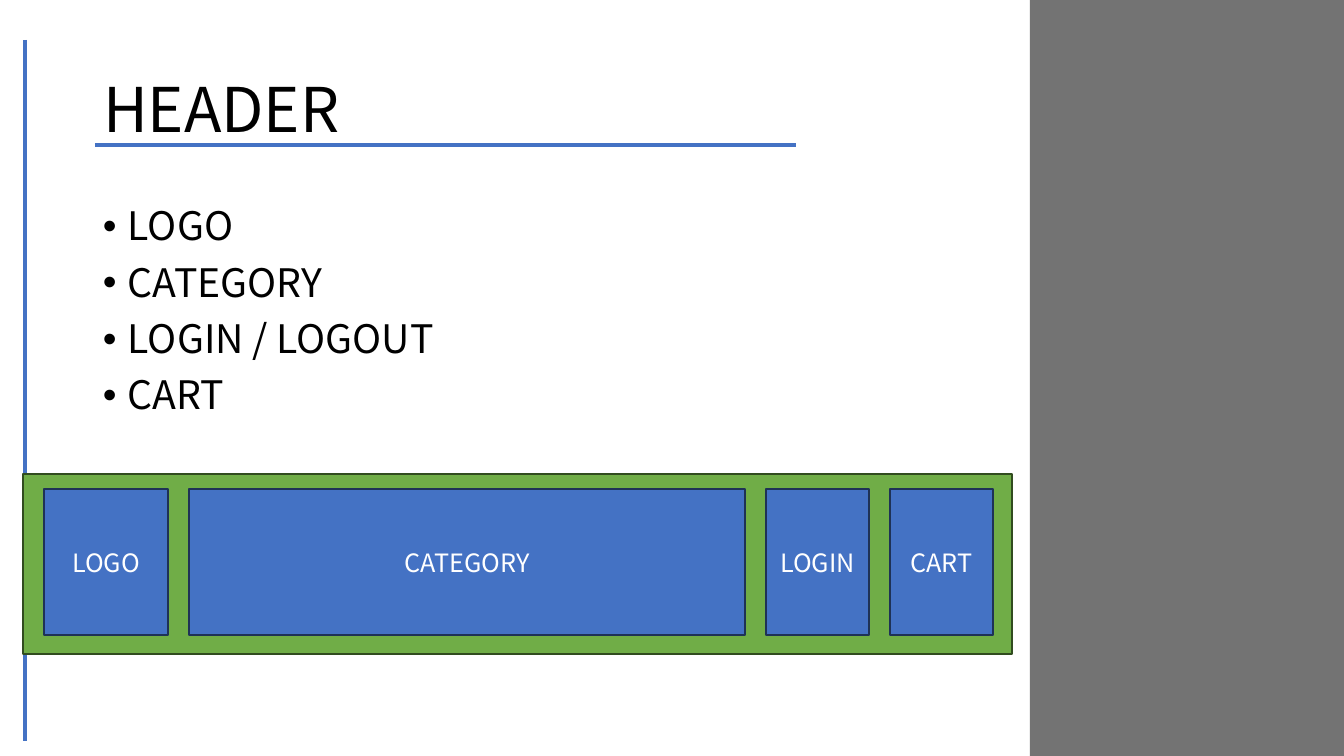
from pptx import Presentation
from pptx.dml.color import RGBColor
from pptx.enum.shapes import MSO_CONNECTOR as Connector, MSO_SHAPE as Shape
from pptx.enum.text import MSO_ANCHOR as Anchor, MSO_AUTO_SIZE as AutoSize, PP_ALIGN as Align
from pptx.oxml.ns import qn
from pptx.util import Pt
from lxml.etree import SubElement

BLUE = "4472C4"
BLUE_EDGE = "1E3256"
GREEN = "70AD47"
GREEN_EDGE = "314C1F"
GREY = "737373"
BLACK = "000000"
WHITE = "FFFFFF"


def px(count):
    return round(count * 914400 / 100.8)


def colour(code):
    return RGBColor.from_string(code)


class SlideBuilder:
    font_name = "Noto Sans CJK KR"

    def __init__(self, slide):
        self.slide = slide

    def add_span(self, para, text, size, code):
        span = para.add_run()
        span.text = text
        span.font.name = self.font_name
        span.font.size = Pt(size)
        span.font.color.rgb = colour(code)

    def title(self, text, left, top, width, height):
        box = self.slide.shapes.title
        box.left, box.top, box.width, box.height = map(px, (left, top, width, height))
        frame = box.text_frame
        frame.auto_size = AutoSize.NONE
        frame.vertical_anchor = Anchor.MIDDLE
        para = frame.paragraphs[0]
        para.alignment = Align.LEFT
        para.line_spacing = 0.9
        self.add_span(para, text, 44, BLACK)

    def bullets(self, items, left, top, width, height):
        box = self.slide.shapes.add_textbox(*map(px, (left, top, width, height)))
        frame = box.text_frame
        frame.word_wrap = True
        for index, item in enumerate(items):
            para = frame.add_paragraph() if index else frame.paragraphs[0]
            properties = para._p.get_or_add_pPr()
            properties.set("marL", str(px(25)))
            properties.set("indent", str(-px(25)))
            SubElement(properties, qn("a:buFont"), typeface="Arial")
            SubElement(properties, qn("a:buChar"), char="•")
            para.line_spacing = 0.9
            if index:
                para.space_before = Pt(10)
            self.add_span(para, item, 28, BLACK)

    def rectangle(self, left, top, width, height, fill, edge=None, label=None):
        box = self.slide.shapes.add_shape(
            Shape.RECTANGLE, *map(px, (left, top, width, height)))
        box.shadow.inherit = False
        box.fill.solid()
        box.fill.fore_color.rgb = colour(fill)
        if edge:
            box.line.color.rgb = colour(edge)
            box.line.width = Pt(1)
        else:
            box.line.fill.background()
        if label:
            box.text_frame.vertical_anchor = Anchor.MIDDLE
            para = box.text_frame.paragraphs[0]
            para.alignment = Align.CENTER
            self.add_span(para, label, 18, WHITE)

    def rule(self, *ends):
        line = self.slide.shapes.add_connector(Connector.STRAIGHT, *map(px, ends))
        line.line.color.rgb = colour(BLUE)
        line.line.width = Pt(2.25)
        SubElement(line._element.spPr, qn("a:effectLst"))


def main():
    deck = Presentation()
    deck.slide_width, deck.slide_height = px(1344), px(756)
    page = SlideBuilder(deck.slides.add_slide(deck.slide_layouts[5]))

    page.rectangle(1030, 0, 314, 756, GREY)
    page.rule(25, 40, 25, 741)
    page.rule(95, 145, 796, 145)
    page.title("HEADER", 93, 40, 1159, 146)
    page.rectangle(23, 474, 989, 180, GREEN, GREEN_EDGE)
    page.bullets(["LOGO", "CATEGORY", "LOGIN / LOGOUT", "CART"], 93, 202, 919, 480)

    left, gap = 44, 21
    for label, width in [("LOGO", 124), ("CATEGORY", 556), ("LOGIN", 103), ("CART", 103)]:
        page.rectangle(left, 489, width, 146, BLUE, BLUE_EDGE, label)
        left += width + gap

    deck.save("out.pptx")


if __name__ == "__main__":
    main()
